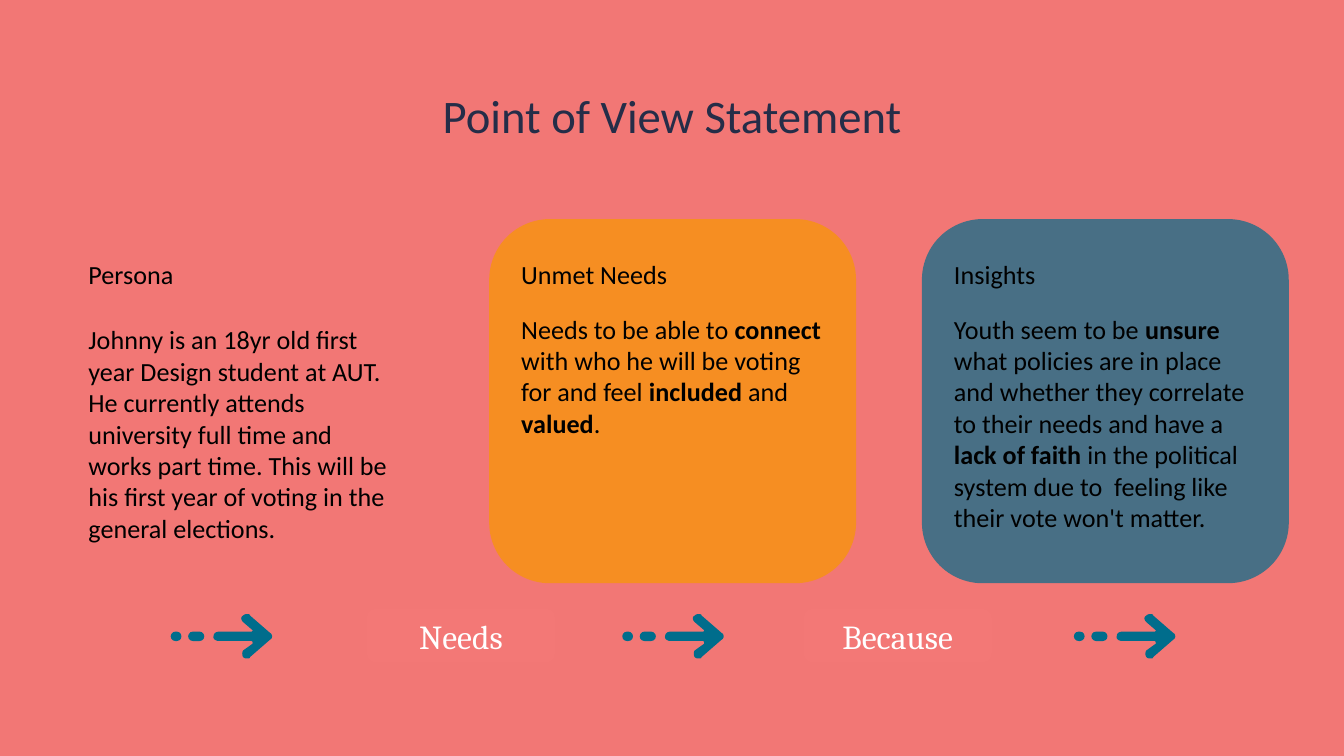
from lxml import etree
from pptx import Presentation
from pptx.dml.color import RGBColor
from pptx.enum.shapes import MSO_SHAPE
from pptx.enum.text import MSO_ANCHOR, PP_ALIGN
from pptx.oxml.ns import qn
from pptx.util import Inches, Pt

ROUNDED = MSO_SHAPE.ROUNDED_RECTANGLE
MIDDLE = MSO_ANCHOR.MIDDLE
CENTER = PP_ALIGN.CENTER

CORAL, TEAL, ORANGE = "F27775", "006D8C", "F99900"
LABEL_FILL, NAVY, BLACK, WHITE = "F37876", "252D48", "000000", "FFFFFF"

TITLE = "Point of View Statement"
CARDS = [
    ("Persona", CORAL, 0.34, 2.36, 1.99,
     "Johnny is an 18yr old first year Design student at AUT. He currently attends "
     "university full time and works part time. This will be his first year of voting "
     "in the general elections."),
    ("Unmet Needs", ORANGE, 0.57, 2.28, 0.81,
     "Needs to be able to **connect** with who he will be voting for and feel "
     "**included** and **valued**."),
    ("Insights", TEAL, 0.57, 2.28, 1.75,
     "Youth seem to be **unsure** what policies are in place and whether they correlate "
     "to their needs and have a **lack of faith** in the political system due to  feeling "
     "like their vote won't matter."),
]
LABELS = [("Needs", 2.73), ("Because", 5.98)]

CARD_LEFT, CARD_STEP, CARD_TOP, CARD_WIDTH, CARD_HEIGHT = 0.42, 3.22, 1.63, 2.73, 2.71
TEXT_INDENT, HEADING_TOP = 0.14, 1.87
ARROW_LEFT, ARROW_STEP, ARROW_TOP, STROKE = 1.26, 3.36, 4.57, 0.07
DASHES = [(0.01, 0.08), (0.14, 0.12)]
ARROW_START = (0.58, 0)
ARROW_CURVES = [
    [(0.57, 0), (0.56, 0), (0.55, 0.01)],
    [(0.53, 0.02), (0.53, 0.04), (0.55, 0.06)],
    [(0.62, 0.12)],
    [(0.62, 0.12), (0.62, 0.13), (0.61, 0.13)],
    [(0.37, 0.13)],
    [(0.34, 0.13), (0.33, 0.15), (0.33, 0.16)],
    [(0.32, 0.18), (0.34, 0.2), (0.37, 0.2)],
    [(0.61, 0.2)],
    [(0.62, 0.2), (0.62, 0.21), (0.62, 0.22)],
    [(0.55, 0.27)],
    [(0.54, 0.28), (0.54, 0.31), (0.55, 0.32)],
    [(0.56, 0.33), (0.57, 0.33), (0.58, 0.33)],
    [(0.59, 0.33), (0.6, 0.33), (0.6, 0.32)],
    [(0.75, 0.19)],
    [(0.77, 0.18), (0.77, 0.15), (0.75, 0.14)],
    [(0.6, 0.01)],
    [(0.6, 0), (0.59, 0), (0.58, 0)],
]
CURVE_STEPS = 6


def color(value):
    return RGBColor.from_string(value)


def paint(shape, fill, opacity=100):
    shape.shadow.inherit = False
    shape.fill.solid()
    shape.fill.fore_color.rgb = color(fill)
    shape.line.fill.background()
    if opacity < 100:
        tint = shape.element.spPr.find(".//" + qn("a:srgbClr"))
        etree.SubElement(tint, qn("a:alpha")).set("val", str(opacity * 1000))


def add_rounded(slide, left, top, width, height, fill, opacity=100):
    shape = slide.shapes.add_shape(
        ROUNDED, Inches(left), Inches(top), Inches(width), Inches(height))
    paint(shape, fill, opacity)
    return shape


def write(frame, text, size, font, fill, align=None):
    frame.word_wrap = True
    para = frame.paragraphs[0]
    para.alignment = align
    para.font.size = Pt(size)
    para.font.name = font
    para.font.color.rgb = color(fill)
    for index, part in enumerate(text.split("**")):
        span = para.add_run()
        span.text = part
        if index % 2:
            span.font.bold = True


def add_text(slide, text, left, top, height):
    box = slide.shapes.add_textbox(Inches(left), Inches(top), Inches(2.44), Inches(height))
    write(box.text_frame, text, 14, "Calibri", BLACK)


def arrow_points():
    points = [ARROW_START]
    for curve in ARROW_CURVES:
        if len(curve) == 1:
            points += curve
            continue
        corners = [points[-1], *curve]
        for step in range(1, CURVE_STEPS + 1):
            t = step / CURVE_STEPS
            weights = ((1 - t) ** 3, 3 * t * (1 - t) ** 2, 3 * t * t * (1 - t), t ** 3)
            points.append(tuple(
                sum(weight * corner[axis] for weight, corner in zip(weights, corners))
                for axis in (0, 1)))
    return points


def add_arrow(slide, left):
    points = [(Inches(left + x), Inches(ARROW_TOP + y)) for x, y in arrow_points()]
    builder = slide.shapes.build_freeform(*points[0])
    builder.add_line_segments(points[1:], close=True)
    paint(builder.convert_to_shape(), TEAL)
    for offset, width in DASHES:
        dash = add_rounded(slide, left + offset, ARROW_TOP + 0.13, width, STROKE, TEAL)
        dash.adjustments[0] = 0.5


def main():
    deck = Presentation()
    deck.slide_width = Inches(10)
    deck.slide_height = deck.slide_width * 9 // 16
    slide = deck.slides.add_slide(deck.slide_layouts[5])
    slide.background.fill.solid()
    slide.background.fill.fore_color.rgb = color(CORAL)

    title = slide.shapes.title
    title.left, title.top = Inches(0.78), Inches(0.59)
    title.width, title.height = Inches(8.44), Inches(0.53)
    title.text_frame.vertical_anchor = MIDDLE
    write(title.text_frame, TITLE, 25, "Calibri", NAVY, CENTER)

    for index, (heading, fill, heading_height, body_top, body_height, body) in enumerate(CARDS):
        left = CARD_LEFT + index * CARD_STEP
        add_rounded(slide, left, CARD_TOP, CARD_WIDTH, CARD_HEIGHT, fill, 70)
        add_text(slide, heading, left + TEXT_INDENT, HEADING_TOP, heading_height)
        add_text(slide, body, left + TEXT_INDENT, body_top, body_height)
        add_arrow(slide, ARROW_LEFT + index * ARROW_STEP)

    for text, left in LABELS:
        label = add_rounded(slide, left, 4.53, 1.4, 0.4, LABEL_FILL)
        label.text_frame.vertical_anchor = MIDDLE
        write(label.text_frame, text, 18, "Cambria", WHITE, CENTER)

    deck.save("out.pptx")


if __name__ == "__main__":
    main()
